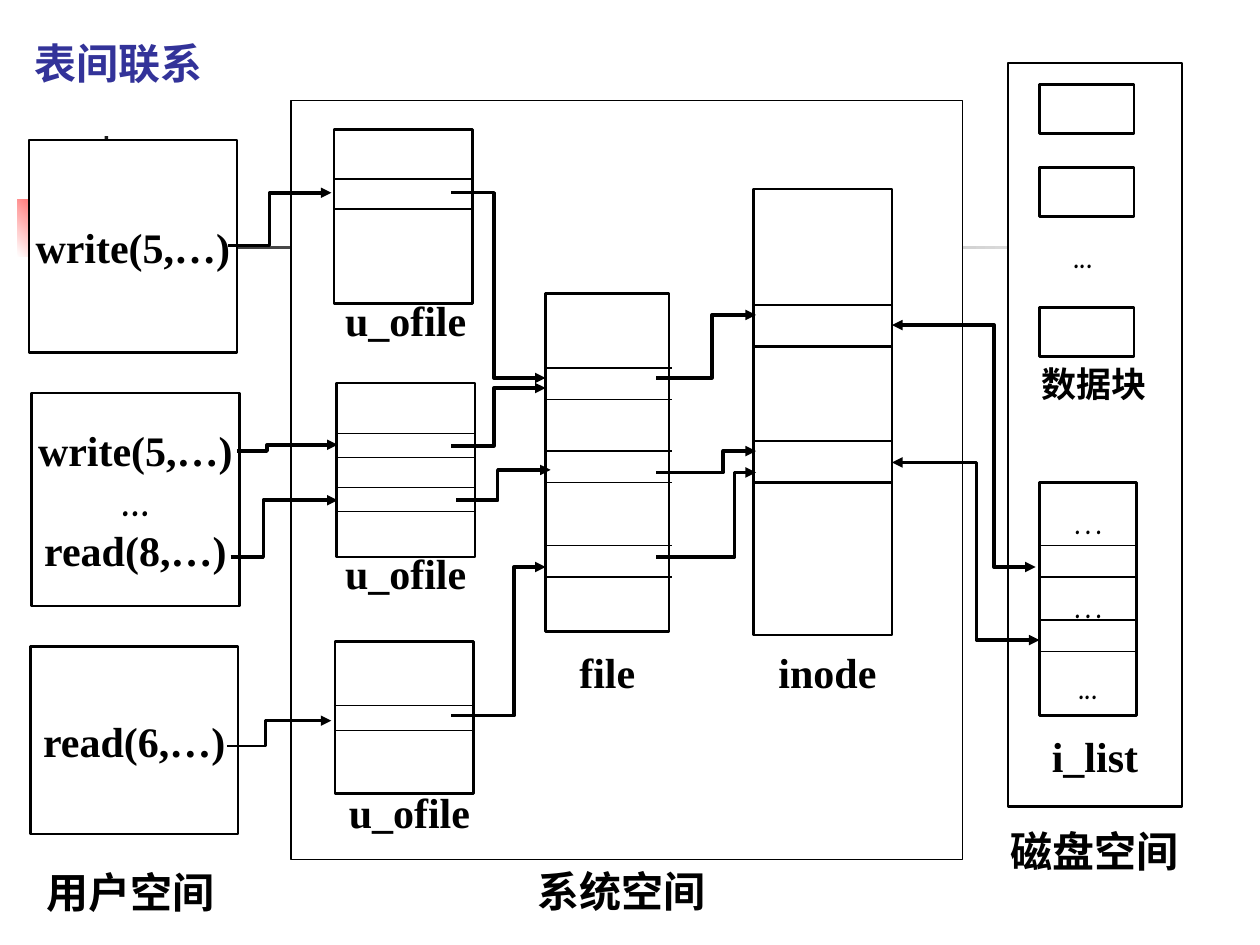
import pptx
import pptx.util
import pptx.dml.color
import pptx.enum.dml
import pptx.enum.shapes
import pptx.enum.text
import pptx.oxml
import pptx.oxml.ns
from pptx.util import Inches, Pt

COLORS = {
    "ink": "000000", "paper": "FFFFFF", "title": "333399",
    "accent": "FF0000", "rule": "1C1C1C",
}
SERIF, COMIC = "Times New Roman", "Comic Neue"
ANCHOR = pptx.enum.text.MSO_ANCHOR
ALIGN = pptx.enum.text.PP_ALIGN


def rgb(name):
    return pptx.dml.color.RGBColor.from_string(COLORS[name])


def add_words(paragraph, words, size=24, font=SERIF, bold=True, color="ink"):
    run = paragraph.add_run()
    run.text = words
    run.font.size = Pt(size)
    run.font.name = font
    run.font.bold = bold
    run.font.color.rgb = rgb(color)


prs = pptx.Presentation()
prs.slide_width, prs.slide_height = Inches(10), Inches(7.5)
slide = prs.slides.add_slide(prs.slide_layouts[5])
shapes = slide.shapes
RECT = pptx.enum.shapes.MSO_SHAPE.RECTANGLE

title = shapes.title
title.left, title.top = Inches(0.17), Inches(0.25)
title.width, title.height = Inches(1.92), Inches(0.5)
title.text_frame.vertical_anchor = ANCHOR.TOP
title.text_frame.paragraphs[0].alignment = ALIGN.LEFT
add_words(title.text_frame.paragraphs[0], "表间联系", color="title")

# Background ornament: position, gradient from, gradient to, angle
for place, start, end, angle in [
    ((0.14, 1.58, 0.61, 0.46), "paper", "accent", 45),
    ((0.83, 1.08, 0.03, 1.15), "rule", "rule", 0),
    ((0.48, 1.95, 9, 0.03), "rule", "paper", 0),
]:
    ornament = shapes.add_shape(RECT, *map(Inches, place))
    ornament.shadow.inherit = False
    ornament.line.fill.background()
    if start == end:
        ornament.fill.solid()
        ornament.fill.fore_color.rgb = rgb(start)
    else:
        ornament.fill.gradient()
        ornament.fill.gradient_angle = angle
        for stop, color, position in zip(
                ornament.fill.gradient_stops, (start, end), (0, 1)):
            stop.color.rgb = rgb(color)
            stop.position = position

# Boxes: position, border width, lines of (words, font, bold, exact spacing)
WRITE, READ = ("write(5,…)", SERIF, True, None), ("read(8,…)", SERIF, True, None)
boxes = [
    ((2.31, 0.8, 5.33, 6.02), 0.75, []),                # system space
    ((8, 0.5, 1.38, 5.9), 1.5, []),                     # disk space
    ((0.23, 1.11, 1.65, 1.69), 1.5, [WRITE]),           # user processes
    ((0.25, 3.12, 1.65, 1.69), 1.5, [WRITE, ("…", COMIC, True, None), READ]),
    ((0.24, 5.13, 1.65, 1.49), 1.5, [("read(6,…)", SERIF, True, None)]),
    ((2.65, 1.03, 1.1, 1.38), 1.5, []),                 # u_ofile tables
    ((2.67, 3.04, 1.1, 1.38), 1.5, []),
    ((2.66, 5.09, 1.1, 1.21), 1.5, []),
    ((4.33, 2.33, 0.98, 2.68), 1.5, []),                # file table
    ((5.98, 1.5, 1.1, 3.54), 1.5, []),                  # inode table
    ((8.25, 3.83, 0.77, 1.85), 1.5, [                   # i_list
        ("…", COMIC, False, 31), ("…", COMIC, False, 48),
        ("...", COMIC, False, 46)]),
]
boxes += [((8.25, top, 0.75, 0.39), 1.5, []) for top in (0.67, 1.33, 2.44)]
for place, border, lines in boxes:
    box = shapes.add_shape(RECT, *map(Inches, place))
    box.shadow.inherit = False
    box.fill.solid()
    box.fill.fore_color.rgb = rgb("paper")
    box.line.color.rgb = rgb("ink")
    box.line.width = Pt(border)
    frame = box.text_frame
    frame.word_wrap = False
    for index, (words, font, bold, spacing) in enumerate(lines):
        paragraph = frame.add_paragraph() if index else frame.paragraphs[0]
        paragraph.alignment = ALIGN.CENTER
        if spacing:
            frame.vertical_anchor = ANCHOR.TOP
            paragraph.line_spacing = Pt(spacing)
        add_words(paragraph, words, font=font, bold=bold)

# Row dividers of each table: left, width, line width, heights
for left, width, weight, rows in [
    (2.65, 1.1, 0.75, (1.42, 1.66)),
    (2.67, 1.1, 0.75, (3.44, 3.63, 3.87, 4.06)),
    (2.65, 1.1, 0.75, (5.6, 5.8)),
    (4.33, 1, 0.75, (2.92, 3.17, 3.58, 3.83, 4.33, 4.58)),
    (5.98, 1.1, 1.5, (2.42, 2.75, 3.5, 3.83)),
    (8.25, 0.77, 0.75, (4.33, 4.58, 4.92, 5.17)),
]:
    for y in rows:
        divider = shapes.add_connector(
            pptx.enum.shapes.MSO_CONNECTOR.STRAIGHT,
            Inches(left), Inches(y), Inches(left + width), Inches(y))
        divider.line.color.rgb = rgb("ink")
        divider.line.width = Pt(weight)
        properties = divider._element.spPr
        properties.append(pptx.oxml.parse_xml(
            f'<a:effectLst {pptx.oxml.ns.nsdecls("a")}/>'))

# Stepped pointers: start x, start y, bend x, end x, end y, width, arrowheads
for x1, y1, bend, x2, y2, weight, ends in [
    (1.81, 1.95, 2.14, 2.63, 1.53, 2, ["tailEnd"]),
    (1.88, 3.58, 2.12, 2.68, 3.53, 2, ["tailEnd"]),
    (1.83, 4.42, 2.09, 2.68, 3.97, 2, ["tailEnd"]),
    (1.8, 5.92, 2.11, 2.63, 5.72, 1.5, ["tailEnd"]),
    (3.58, 1.53, 3.92, 4.33, 3, 2, ["tailEnd"]),
    (3.58, 3.54, 3.92, 4.33, 3.08, 2, ["tailEnd"]),
    (3.62, 3.97, 3.95, 4.37, 3.73, 2, ["tailEnd"]),
    (3.58, 5.68, 4.08, 4.33, 4.5, 2, ["tailEnd"]),
    (5.21, 3, 5.65, 6, 2.5, 2, ["tailEnd"]),
    (5.21, 3.75, 5.74, 6, 3.58, 2, ["tailEnd"]),
    (5.21, 4.42, 5.83, 6, 3.75, 2, ["tailEnd"]),
    (7.08, 2.58, 7.89, 8.22, 4.5, 2, ["headEnd", "tailEnd"]),
    (7.08, 3.67, 7.75, 8.25, 5.08, 2, ["headEnd", "tailEnd"]),
]:
    outline = shapes.build_freeform(Inches(x1), Inches(y1))
    outline.add_line_segments(
        [(Inches(x), Inches(y)) for x, y in ((bend, y1), (bend, y2), (x2, y2))],
        close=False)
    pointer = outline.convert_to_shape()
    pointer.shadow.inherit = False
    pointer.fill.background()
    pointer.line.color.rgb = rgb("ink")
    pointer.line.width = Pt(weight)
    for end in ends:
        pointer.line._get_or_add_ln().append(pptx.oxml.parse_xml(
            f'<a:{end} {pptx.oxml.ns.nsdecls("a")} type="triangle"/>'))

# Captions: words, left, top, width, height, size, font, bold
for words, left, top, width, height, size, font, bold in [
    ("用户空间", 0.27, 6.83, 1.67, 0.5, 24, SERIF, True),
    ("系统空间", 4.17, 6.82, 1.75, 0.5, 24, SERIF, True),
    ("磁盘空间", 7.92, 6.5, 1.58, 0.5, 24, SERIF, True),
    ("u_ofile", 2.64, 2.29, 1.26, 0.5, 24, SERIF, True),
    ("u_ofile", 2.64, 4.3, 1.17, 0.5, 24, SERIF, True),
    ("u_ofile", 2.67, 6.19, 1.17, 0.5, 24, SERIF, True),
    ("file", 4.5, 5.08, 0.83, 0.5, 24, SERIF, True),
    ("inode", 6.08, 5.08, 1.08, 0.5, 24, SERIF, True),
    ("i_list", 8.25, 5.75, 1, 0.5, 24, SERIF, True),
    ("数据块", 8.17, 2.83, 1.25, 0.44, 20, SERIF, True),
    ("...", 8.42, 1.75, 0.5, 0.5, 24, COMIC, False),
]:
    caption = shapes.add_textbox(*map(Inches, (left, top, width, height)))
    caption.text_frame.word_wrap = True
    add_words(caption.text_frame.paragraphs[0], words, size, font, bold)

prs.save("out.pptx")
